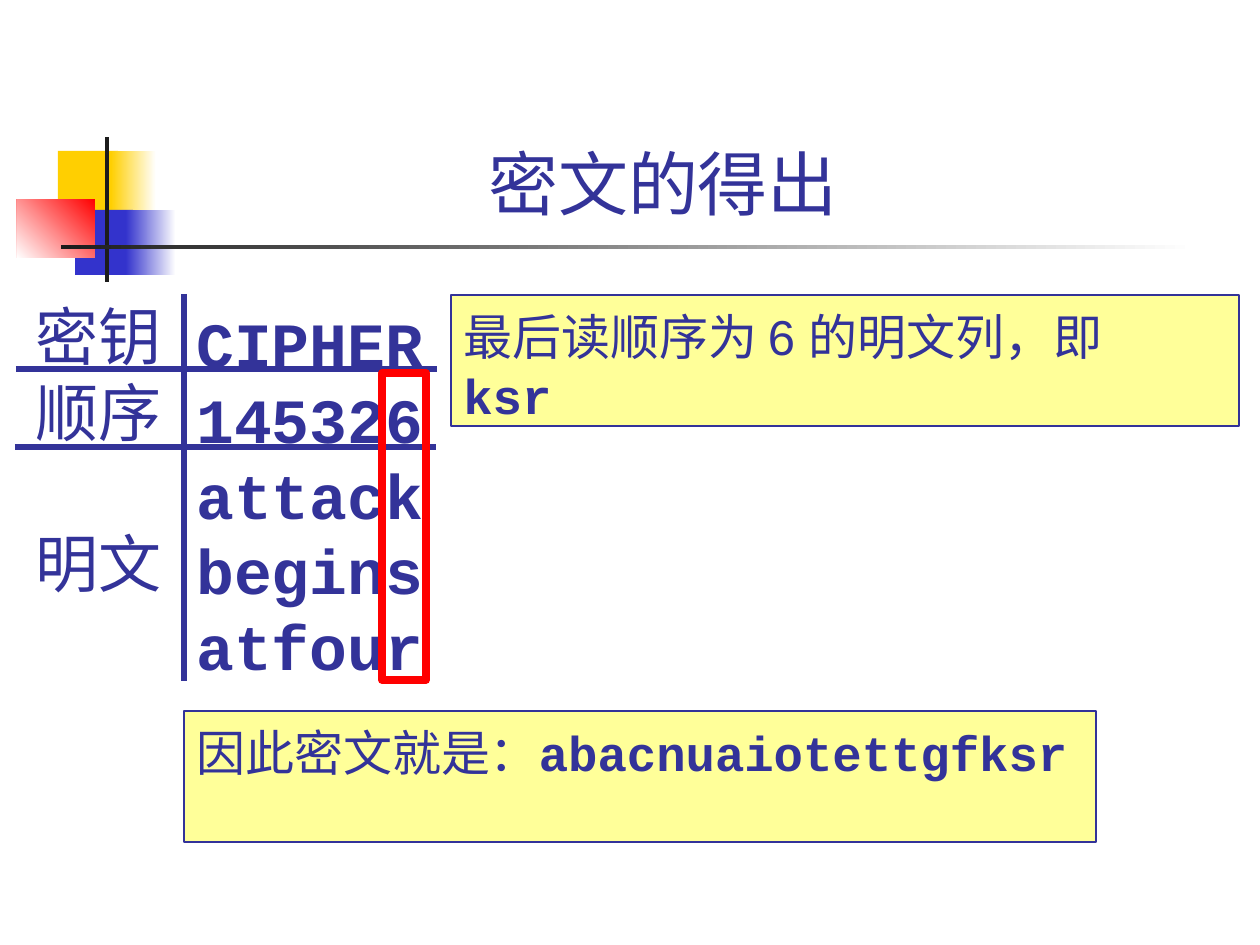
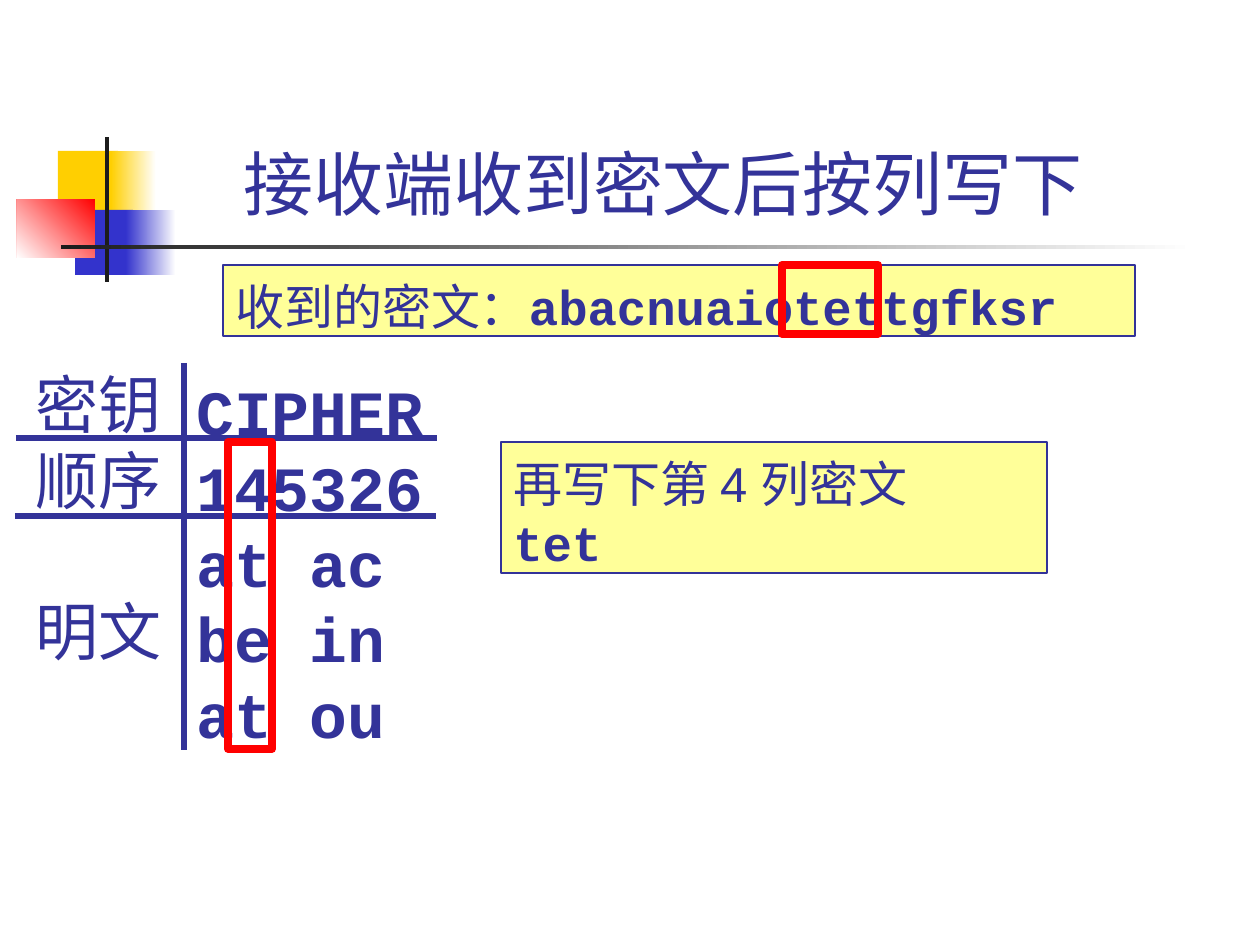
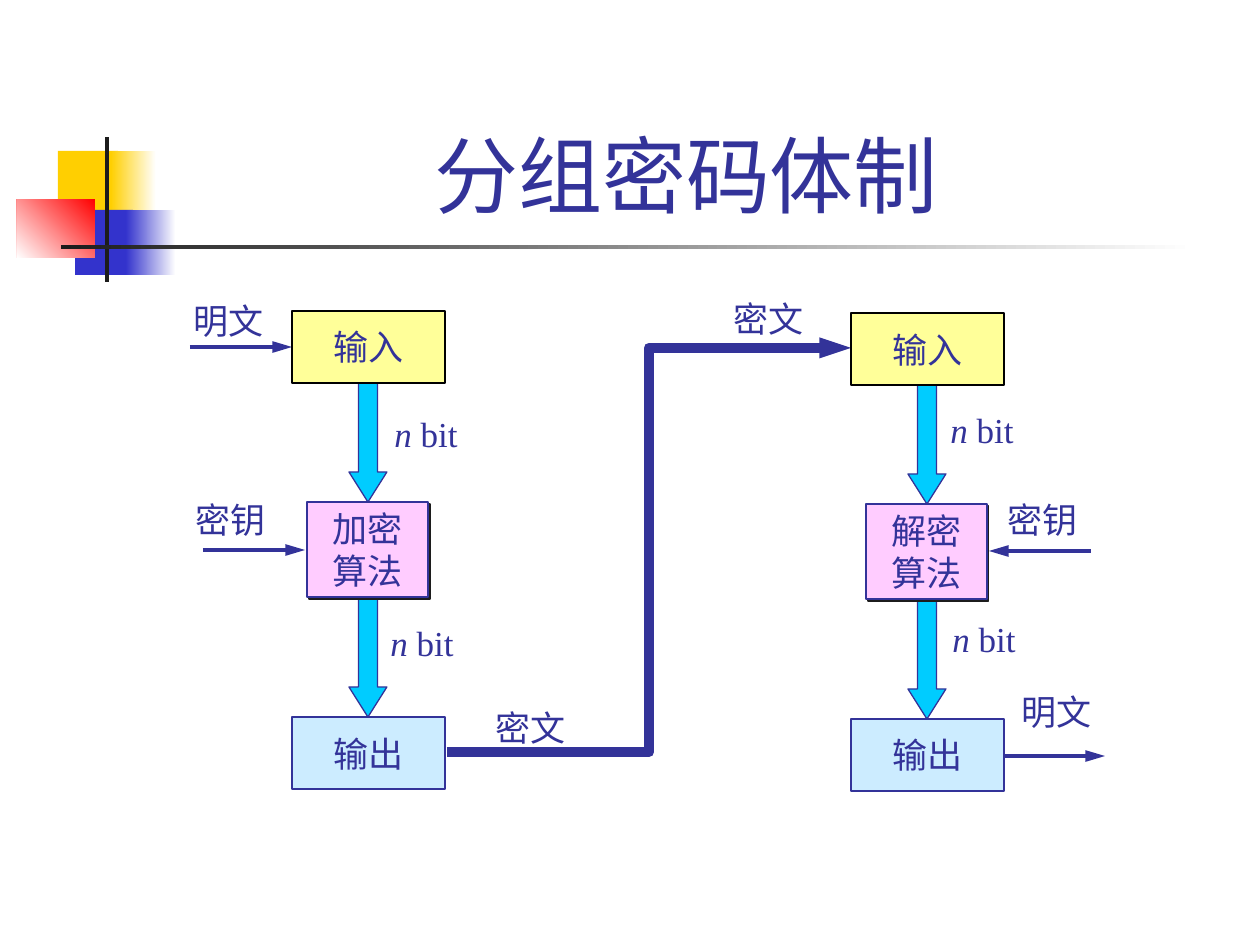
"""Build three slides on transposition ciphers and block ciphers."""
from lxml import etree
from pptx import Presentation
from pptx.dml.color import RGBColor
from pptx.enum.shapes import MSO_CONNECTOR, MSO_SHAPE
from pptx.enum.text import MSO_ANCHOR, MSO_AUTO_SIZE, PP_ALIGN
from pptx.oxml import parse_xml
from pptx.oxml.ns import nsdecls, qn
from pptx.util import Pt

PX = 914400 / 126
NAVY = RGBColor(0x33, 0x33, 0x99)
BLUE = RGBColor(0x33, 0x33, 0xCC)
GOLD = RGBColor(0xFF, 0xCF, 0x01)
RED = RGBColor(0xFF, 0x00, 0x00)
WHITE = RGBColor(0xFF, 0xFF, 0xFF)
BLACK = RGBColor(0x00, 0x00, 0x00)
INK = RGBColor(0x1C, 0x1C, 0x1C)
CREAM = RGBColor(0xFF, 0xFF, 0x99)
PINK = RGBColor(0xFF, 0xCC, 0xFF)
ICE = RGBColor(0xCC, 0xEC, 0xFF)
CYAN = RGBColor(0x00, 0xCC, 0xFF)
SERIF, SANS, MONO, LABEL = "Times New Roman", "Arial", "Courier New", "Karla"
RECT = MSO_SHAPE.RECTANGLE


def draw(slide, kind, box, fill=None, line=None, width=0.75):
    """Add a shape, or a text box when no kind is given."""
    place = [int(n * PX) for n in box]
    if kind is None:
        return slide.shapes.add_textbox(*place)
    shape = slide.shapes.add_shape(kind, *place)
    shape.shadow.inherit = False
    if fill is None:
        shape.fill.background()
    else:
        shape.fill.solid()
        shape.fill.fore_color.rgb = fill
    if line is None:
        shape.line.fill.background()
    else:
        shape.line.color.rgb = line
        shape.line.width = Pt(width)
    return shape


def write(shape, rows, size, font=SERIF, center=False, wrap=False):
    """Write rows of runs and return the paragraphs."""
    frame = shape.text_frame
    frame.word_wrap = wrap
    frame.auto_size = MSO_AUTO_SIZE.NONE
    frame.vertical_anchor = MSO_ANCHOR.MIDDLE if center else MSO_ANCHOR.TOP
    if not center:
        frame.margin_top = int((6 + round(size * 0.22)) * PX)
    for i, row in enumerate(rows):
        para = frame.add_paragraph() if i else frame.paragraphs[0]
        para.text = row[0]
        for piece in row[1:]:
            para.add_run().text = piece
        para.alignment = PP_ALIGN.CENTER if center else PP_ALIGN.LEFT
        para.line_spacing = Pt(size * 1.2)
        for run in para.runs:
            run.font.size = Pt(size)
            run.font.name = font
            run.font.color.rgb = NAVY
    return frame.paragraphs


deck = Presentation()
deck.slide_width, deck.slide_height = int(1260 * PX), int(945 * PX)
layout = deck.slide_layouts[5]

slides = []
for text, size, left, width in [
    ("密文的得出", 40, 94, 1138),
    ("接收端收到密文后按列写下", 40, 94, 1138),
    ("分组密码体制 ", 48, 159, 1073),
]:
    slide = deck.slides.add_slide(layout)
    title = slide.shapes.title
    title.left, title.top = int(left * PX), int(29 * PX)
    title.width, title.height = int(width * PX), int(202 * PX)
    frame = title.text_frame
    frame.text = text
    frame.auto_size = MSO_AUTO_SIZE.NONE
    frame.vertical_anchor = MSO_ANCHOR.BOTTOM
    frame.paragraphs[0].alignment = PP_ALIGN.CENTER
    font = frame.paragraphs[0].runs[0].font
    font.size, font.name = Pt(size), SANS
    font.color.rgb = NAVY
    slides.append(slide)

for box, color, angle in [
    ((58, 151, 60, 66), GOLD, None),
    ((111, 151, 45, 66), GOLD, 0),
    ((75, 210, 58, 65), BLUE, None),
    ((126, 210, 50, 65), BLUE, 0),
    ((17, 199, 78, 59), RED, 225),
    ((105, 137, 4, 145), INK, None),
    ((61, 245, 1134, 4), INK, 0),
]:
    part = draw(slides[0], RECT, box, color)
    if angle is not None:
        part.fill.gradient()
        part.fill.gradient_angle = angle
        for stop, tint in zip(part.fill.gradient_stops, (color, WHITE)):
            stop.color.rgb = tint
    layout.shapes.element.append(part.element)

lines = [
    (2, (190, 347, 292, 347), 2.25, ("med", "lg")),
    (2, (203, 550, 305, 550), 2.25, ("med", "lg")),
    (2, (1004, 756, 1105, 756), 2.25, ("med", "lg")),
    (2, (1091, 551, 989, 551), 2.25, ("med", "lg")),
    (2, (447, 752, 851, 348), 6, ("sm", "med")),
]
for i, top in enumerate((294, 363)):
    lines += [
        (i, (16, top + 75, 437, top + 75), 3, None),
        (i, (15, top + 153, 436, top + 153), 3, None),
        (i, (184, top, 184, top + 387), 3, None),
    ]
for i, ends, width, head in lines:
    x, y, across, down = ends
    bent = x != across and y != down
    kind = MSO_CONNECTOR.ELBOW if bent else MSO_CONNECTOR.STRAIGHT
    line = slides[i].shapes.add_connector(kind, *[int(n * PX) for n in ends])
    line.line.color.rgb = NAVY
    line.line.width = Pt(width)
    if head:
        tip = etree.SubElement(line.line._get_or_add_ln(), qn("a:tailEnd"))
        tip.set("type", "triangle")
        tip.set("w", head[0])
        tip.set("len", head[1])
    etree.SubElement(line.element.spPr, qn("a:effectLst"))

for slide, top, plain, notes, marks in [
    (slides[0], 291, ("attack", "begins", "atfour"), [
        ((451, 295, 788, 131), "最后读顺序为 6 的明文列，即\v", "ksr"),
        ((184, 711, 912, 131), "因此密文就是：", "abacnuaiotettgfksr"),
    ], [(382, 373, 44, 307)]),
    (slides[1], 359, ("at ac", "be in", "at ou"), [
        ((501, 442, 546, 131), "再写下第 4 列密文\v", "tet"),
        ((223, 265, 912, 71), "收到的密文：", "abacnuaiotettgfksr"),
    ], [(228, 442, 44, 307), (782, 265, 96, 69)]),
]:
    grid = draw(slide, None, (184, top, 252, 391))
    rows = [[word] for word in ("CIPHER", "145326", *plain)]
    for para in write(grid, rows, 36, MONO):
        para.runs[0].font.bold = True
    names = draw(slide, None, (23, top - 7, 151, 315))
    paras = write(names, [["密钥"], ["顺序"], ["明文"]], 36, LABEL)
    paras[2].space_before = Pt(43)
    for box, lead, code in notes:
        note = draw(slide, RECT, box, CREAM, NAVY)
        para = write(note, [[lead, code]], 28, SANS, wrap=True)[0]
        para.runs[-1].font.name = MONO
        para.runs[-1].font.bold = True
    for box in marks:
        draw(slide, RECT, box, None, RED, 4.5)

flow = slides[2]
for x, y, verb in [(292, 311, "加密"), (851, 313, "解密")]:
    for gap in (71, 286):
        arrow = draw(flow, MSO_SHAPE.DOWN_ARROW, (x + 57, y + gap, 38, 120), CYAN, NAVY)
        arrow.adjustments[1] = 0.79
    for box, rows, fill, edge, width in [
        ((x, y, 153, 72), [["输入"]], CREAM, BLACK, 1.5),
        ((x + 15, y + 191, 121, 95), [[verb], ["算法"]], PINK, NAVY, 1),
        ((x, y + 406, 153, 72), [["输出"]], ICE, NAVY, 1.5),
    ]:
        block = draw(flow, RECT, box, fill, edge, width)
        write(block, rows, 20, center=True)
        if fill == PINK:
            effect = block.element.spPr.find(qn("a:effectLst"))
            effect.append(parse_xml(
                f'<a:outerShdw {nsdecls("a")} dist="17780" dir="2700000" algn="ctr">'
                f'<a:srgbClr val="{INK}"/></a:outerShdw>'))

for x, y, text in [
    (183, 488, "密钥"), (181, 289, "明文"), (995, 488, "密钥"),
    (1009, 680, "明文"), (483, 696, "密文"), (721, 287, "密文"),
]:
    write(draw(flow, None, (x, y, 95, 55)), [[text]], 20)
for x, y in [(382, 402), (378, 611), (938, 398), (940, 607)]:
    para = write(draw(flow, None, (x, y, 88, 55)), [["n", " bit"]], 20)[0]
    para.runs[0].font.italic = True

deck.save("out.pptx")
